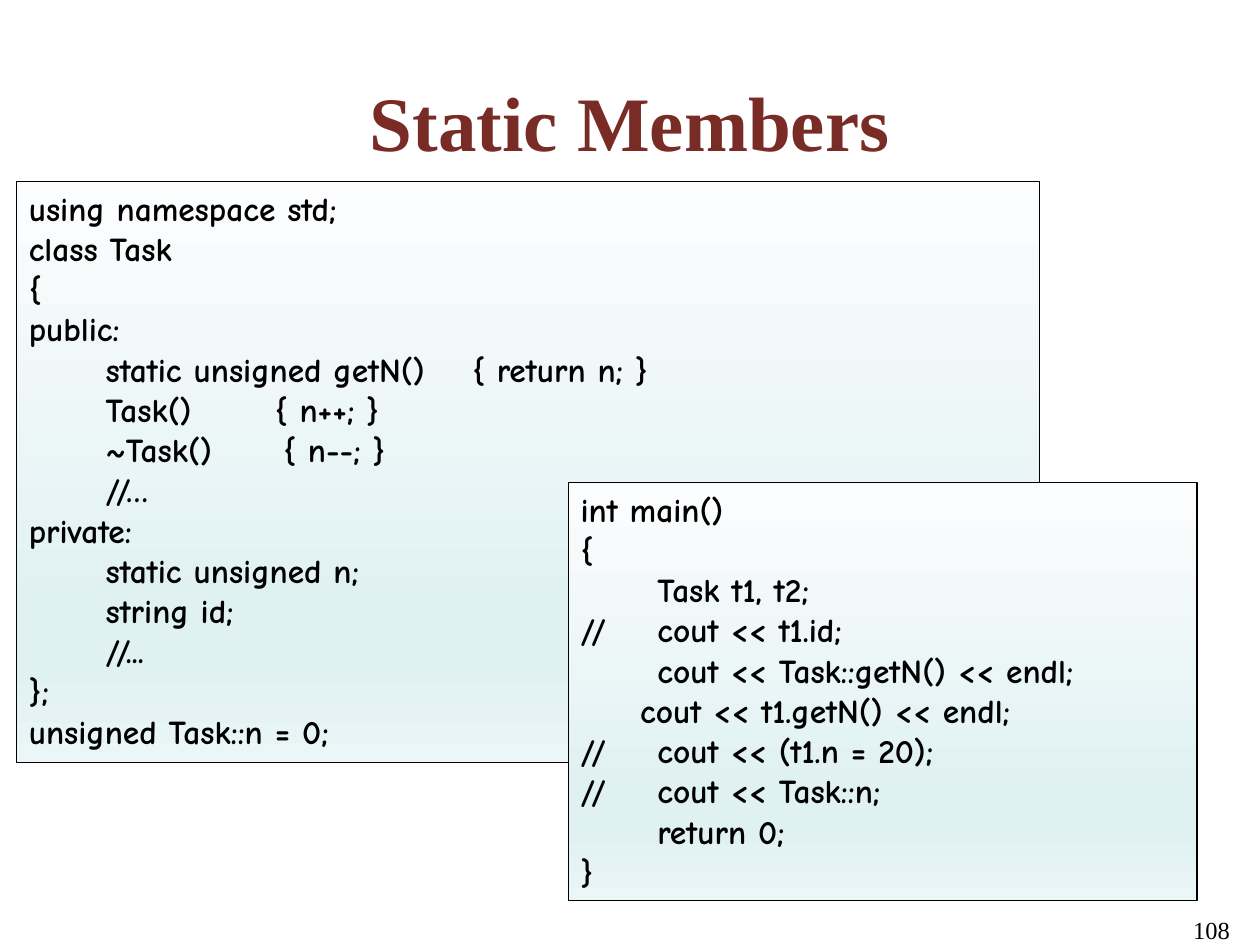
from dataclasses import dataclass

from lxml.etree import SubElement
from pptx import Presentation
from pptx.dml.color import RGBColor
from pptx.enum.shapes import MSO_SHAPE
from pptx.enum.text import MSO_ANCHOR, PP_ALIGN
from pptx.oxml.ns import qn
from pptx.util import Inches, Pt


@dataclass(frozen=True)
class Theme:
    """Colours, fonts and type sizes of the slide."""
    ink: str = "000000"
    heading: str = "792B25"
    panel: tuple = ((0, "FCFDFE"), (74, "E0F1F2"), (83, "E0F1F2"), (100, "EBF6F7"))
    serif: str = "Times New Roman"
    code: str = "Comic Neue"
    title_size: float = 44
    code_size: float = 19.1
    code_pitch: float = 23
    number_size: float = 14
    tab: float = 0.61


THEME = Theme()

CLASS_CODE = """using namespace std;
class Task
{
public:
\tstatic unsigned getN()    { return n; }
\tTask()       { n++; }
\t~Task()      { n--; }
\t//…
private:
\tstatic unsigned n;
\tstring id;
\t//...
};
unsigned Task::n = 0;"""

MAIN_CODE = """int main()
{
\tTask t1, t2;
//\tcout << t1.id;
\tcout << Task::getN() << endl;
     cout << t1.getN() << endl;
//\tcout << (t1.n = 20);
//\tcout << Task::n;
\treturn 0;
}"""


def write(frame, text, *, size, font, color=THEME.ink, bold=False,
          align=PP_ALIGN.LEFT, anchor=MSO_ANCHOR.TOP, pitch=None, tab=None):
    """Fill a text frame with one paragraph per line of text."""
    frame.word_wrap = True
    frame.vertical_anchor = anchor
    for index, line in enumerate(text.split("\n")):
        paragraph = frame.add_paragraph() if index else frame.paragraphs[0]
        paragraph.alignment = align
        if pitch:
            paragraph.line_spacing = Pt(pitch)
        if tab:
            stops = SubElement(paragraph._p.get_or_add_pPr(), qn("a:tabLst"))
            SubElement(stops, qn("a:tab"), pos=str(Inches(tab)), algn="l")
        run = paragraph.add_run()
        run.text = line
        run.font.size = Pt(size)
        run.font.name = font
        run.font.bold = bold
        run.font.color.rgb = RGBColor.from_string(color)


def shade(fill, stops):
    """Give a fill a top-to-bottom gradient with the given stops."""
    fill.gradient()
    fill.gradient_angle = 270
    stop_list = fill._xPr.find(qn("a:gradFill")).find(qn("a:gsLst"))
    for old in list(stop_list):
        stop_list.remove(old)
    for share, color in stops:
        stop = SubElement(stop_list, qn("a:gs"), pos=str(share * 1000))
        SubElement(stop, qn("a:srgbClr"), val=color)


def place_title(slide, box, text):
    """Move and format the title placeholder."""
    title = slide.shapes.title
    title.left, title.top, title.width, title.height = box
    write(title.text_frame, text, size=THEME.title_size, font=THEME.serif,
          color=THEME.heading, bold=True, align=PP_ALIGN.CENTER,
          anchor=MSO_ANCHOR.MIDDLE)


def place_code(slide, box, code):
    """Add a shaded panel holding a code listing."""
    panel = slide.shapes.add_shape(MSO_SHAPE.RECTANGLE, *box)
    panel.shadow.inherit = False
    shade(panel.fill, THEME.panel)
    panel.line.color.rgb = RGBColor.from_string(THEME.ink)
    panel.line.width = Pt(0.75)
    write(panel.text_frame, code, size=THEME.code_size, font=THEME.code,
          bold=True, pitch=THEME.code_pitch, tab=THEME.tab)


def place_number(slide, box, number):
    """Add the page number at the right of its box."""
    label = slide.shapes.add_textbox(*box)
    write(label.text_frame, number, size=THEME.number_size, font=THEME.serif,
          align=PP_ALIGN.RIGHT)


def main():
    """Build and save the slide."""
    deck = Presentation()
    deck.slide_width, deck.slide_height = Inches(10), Inches(7.5)
    slide = deck.slides.add_slide(deck.slide_layouts[5])

    def area(*inches):
        """Turn left, top, width and height into lengths."""
        return tuple(Inches(value) for value in inches)

    place_number(slide, area(7.36, 7.21, 2.5, 0.52), "108")
    place_title(slide, area(0.5, 0.42, 9, 1.08), "Static Members")
    place_code(slide, area(0.13, 1.44, 8.12, 4.61), CLASS_CODE)
    place_code(slide, area(4.51, 3.83, 4.99, 3.32), MAIN_CODE)
    deck.save("out.pptx")


if __name__ == "__main__":
    main()
